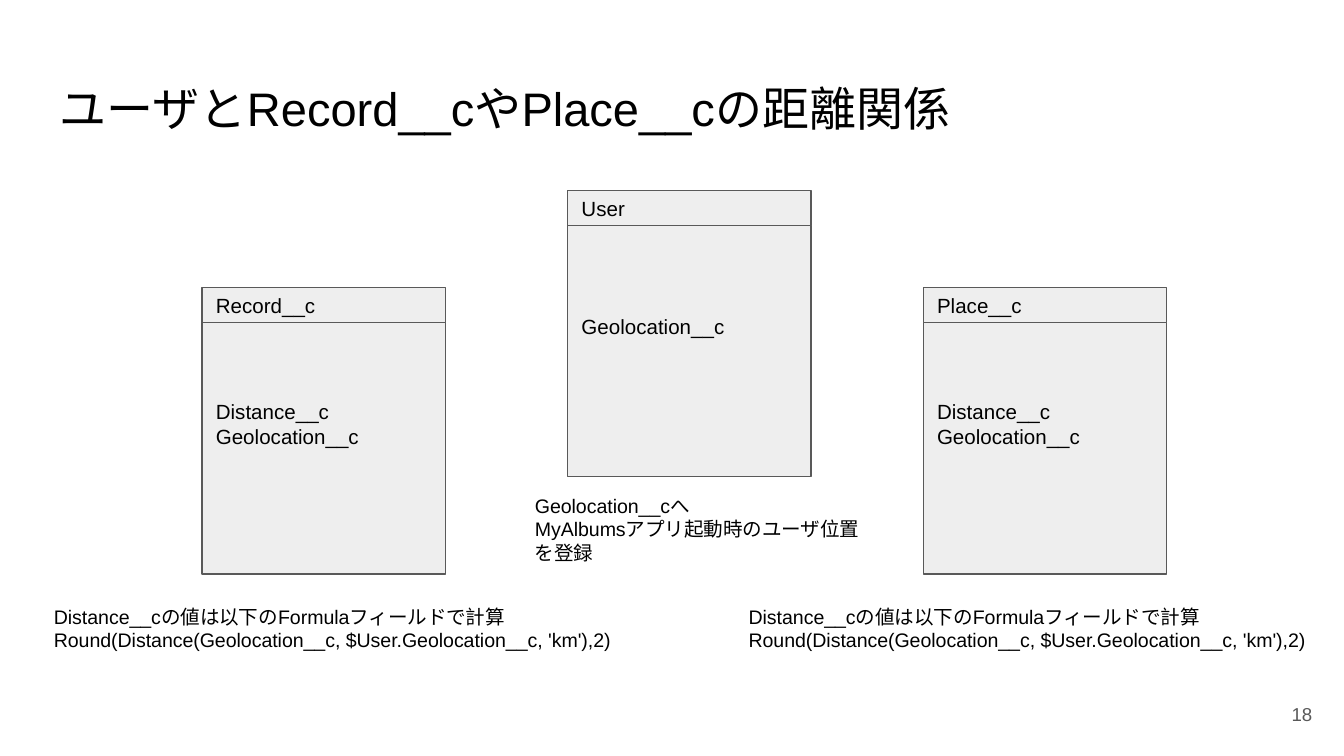
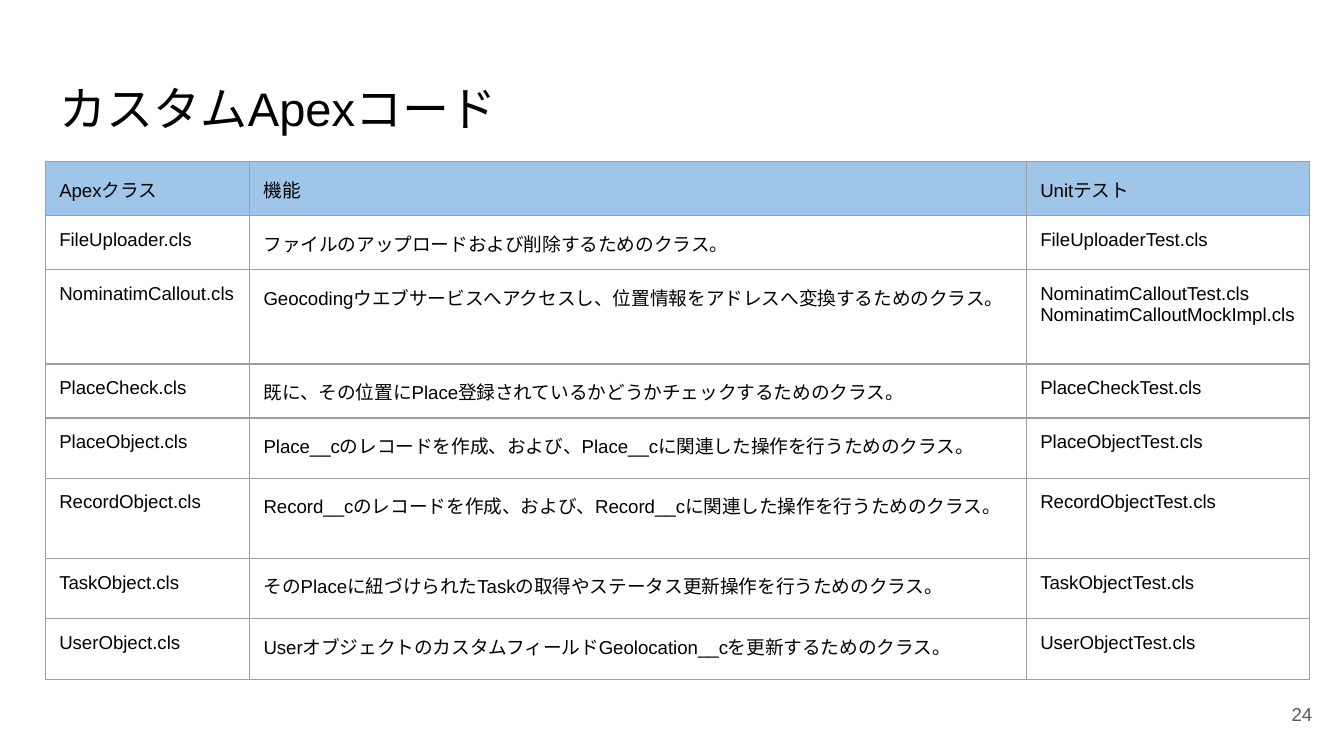
import pptx
import pptx.dml.color
import pptx.enum.shapes
import pptx.enum.text
import pptx.oxml
import pptx.oxml.ns
import pptx.util
from pptx.util import Cm

FONT = "Arial"
INK = "000000"
GREY = "595959"
CARD_FILL = "EEEEEE"
HEADER_FILL = "9FC5E8"
GRID = "9E9E9E"
INSET = 0.26
ANCHOR = pptx.enum.text.MSO_ANCHOR
ALIGN = pptx.enum.text.PP_ALIGN
AUTO_SIZE = pptx.enum.text.MSO_AUTO_SIZE

CARD_WIDTH = 4.6
CARD_HEADER_HEIGHT = 0.66
CARD_BODY_HEIGHT = 4.75
FIELD_LIFT = 0.95

CARDS = [
    (10.73, 3.6, "User", ["Geolocation__c"]),
    (3.82, 5.44, "Record__c", ["Distance__c", "Geolocation__c"]),
    (17.45, 5.44, "Place__c", ["Distance__c", "Geolocation__c"]),
]
FORMULA_NOTE = [
    "Distance__cの値は以下のFormulaフィールドで計算",
    "Round(Distance(Geolocation__c, $User.Geolocation__c, 'km'),2)",
]
LOCATION_NOTE = ["Geolocation__cへ", "MyAlbumsアプリ起動時のユーザ位置を登録"]

COLUMN_WIDTHS = [3.86, 14.68, 5.35]
ROW_HEIGHTS = [1.02, 1.02, 1.78, 1.02, 1.14, 1.52, 1.14, 1.14]
HEADINGS = ["Apexクラス", "機能", "Unitテスト"]
CLASSES = [
    ("FileUploader", "ファイルのアップロードおよび削除するためのクラス。"),
    ("NominatimCallout", "Geocodingウエブサービスへアクセスし、位置情報をアドレスへ変換するためのクラス。"),
    ("PlaceCheck", "既に、その位置にPlace登録されているかどうかチェックするためのクラス。"),
    ("PlaceObject", "Place__cのレコードを作成、および、Place__cに関連した操作を行うためのクラス。"),
    ("RecordObject", "Record__cのレコードを作成、および、Record__cに関連した操作を行うためのクラス。"),
    ("TaskObject", "そのPlaceに紐づけられたTaskの取得やステータス更新操作を行うためのクラス。"),
    ("UserObject", "UserオブジェクトのカスタムフィールドGeolocation__cを更新するためのクラス。"),
]
EXTRA_TESTS = {"NominatimCallout": ["NominatimCalloutMockImpl.cls"]}


def color(value):
    return pptx.dml.color.RGBColor.from_string(value)


def set_insets(holder):
    holder.margin_left = holder.margin_right = Cm(INSET)
    holder.margin_top = holder.margin_bottom = Cm(INSET)


def write(frame, lines, size, ink=INK, align=ALIGN.LEFT, spacing=None):
    for index, line in enumerate(lines):
        paragraph = frame.paragraphs[0] if index == 0 else frame.add_paragraph()
        paragraph.alignment = align
        if spacing:
            paragraph.line_spacing = spacing
        run = paragraph.add_run()
        run.text = line
        run.font.name = FONT
        run.font.size = pptx.util.Pt(size)
        run.font.color.rgb = color(ink)


def prepare_frame(frame, anchor):
    set_insets(frame)
    frame.word_wrap = True
    frame.vertical_anchor = anchor


def add_note(slide, left, top, width, height, lines):
    note = slide.shapes.add_textbox(Cm(left), Cm(top), Cm(width), Cm(height))
    prepare_frame(note.text_frame, ANCHOR.TOP)
    note.text_frame.auto_size = AUTO_SIZE.SHAPE_TO_FIT_TEXT
    write(note.text_frame, lines, 10.5, spacing=pptx.util.Pt(12.5))


def add_page_number(slide, number):
    page = slide.shapes.add_textbox(Cm(23.54), Cm(12.95), Cm(1.52), Cm(1.09))
    prepare_frame(page.text_frame, ANCHOR.MIDDLE)
    write(page.text_frame, [str(number)], 10, GREY, ALIGN.RIGHT)


def add_titled_slide(deck, heading, number):
    slide = deck.slides.add_slide(deck.slide_layouts.get_by_name("Title Only"))
    title = slide.shapes.title
    title.left, title.top = Cm(0.87), Cm(1.24)
    title.width, title.height = Cm(23.67), Cm(1.6)
    prepare_frame(title.text_frame, ANCHOR.TOP)
    title.text_frame.auto_size = AUTO_SIZE.NONE
    write(title.text_frame, [heading], 25.2)
    add_page_number(slide, number)
    return slide


def add_card_part(card, left, top, height, lines):
    part = card.shapes.add_shape(
        pptx.enum.shapes.MSO_SHAPE.RECTANGLE, Cm(left), Cm(top), Cm(CARD_WIDTH), Cm(height)
    )
    part.shadow.inherit = False
    part.fill.solid()
    part.fill.fore_color.rgb = color(CARD_FILL)
    part.line.color.rgb = color(GREY)
    part.line.width = pptx.util.Pt(0.75)
    prepare_frame(part.text_frame, ANCHOR.MIDDLE)
    write(part.text_frame, lines, 11, spacing=pptx.util.Pt(13.4))
    return part


def add_card(slide, left, top, name, fields):
    card = slide.shapes.add_group_shape()
    body = add_card_part(card, left, top + CARD_HEADER_HEIGHT, CARD_BODY_HEIGHT, fields)
    body.text_frame.margin_bottom = Cm(INSET + FIELD_LIFT)
    add_card_part(card, left, top, CARD_HEADER_HEIGHT, [name])


def add_borders(cell):
    properties = cell._tc.get_or_add_tcPr()
    namespace = pptx.oxml.ns.nsdecls("a")
    for side in "LRTB":
        properties.append(pptx.oxml.parse_xml(
            f'<a:ln{side} {namespace} w="9525"><a:solidFill>'
            f'<a:srgbClr val="{GRID}"/></a:solidFill></a:ln{side}>'
        ))


def fill_cell(cell, lines, fill=None):
    set_insets(cell)
    add_borders(cell)
    if fill:
        cell.fill.solid()
        cell.fill.fore_color.rgb = color(fill)
    else:
        cell.fill.background()
    write(cell.text_frame, lines, 10)


def add_class_table(slide):
    frame = slide.shapes.add_table(
        len(ROW_HEIGHTS), len(COLUMN_WIDTHS), Cm(0.86), Cm(3.06),
        Cm(sum(COLUMN_WIDTHS)), Cm(sum(ROW_HEIGHTS)),
    )
    table = frame.table
    table.first_row = table.horz_banding = False
    for column, width in zip(table.columns, COLUMN_WIDTHS):
        column.width = Cm(width)
    for row, height in zip(table.rows, ROW_HEIGHTS):
        row.height = Cm(height)
    for column, heading in enumerate(HEADINGS):
        fill_cell(table.cell(0, column), [heading], HEADER_FILL)
    for row, (name, purpose) in enumerate(CLASSES, 1):
        tests = [f"{name}Test.cls"] + EXTRA_TESTS.get(name, [])
        for column, lines in enumerate([[f"{name}.cls"], [purpose], tests]):
            fill_cell(table.cell(row, column), lines)


def main():
    deck = pptx.Presentation()
    deck.slide_width, deck.slide_height = Cm(25.4), Cm(14.29)

    distances = add_titled_slide(deck, "ユーザとRecord__cやPlace__cの距離関係", 18)
    for card in CARDS:
        add_card(distances, *card)
    for left in (13.89, 0.76):
        add_note(distances, left, 11.17, 11.28, 1.42, FORMULA_NOTE)
    add_note(distances, 9.85, 9.08, 6.83, 1.85, LOCATION_NOTE)

    classes = add_titled_slide(deck, "カスタムApexコード", 24)
    add_class_table(classes)

    deck.save("out.pptx")


if __name__ == "__main__":
    main()
